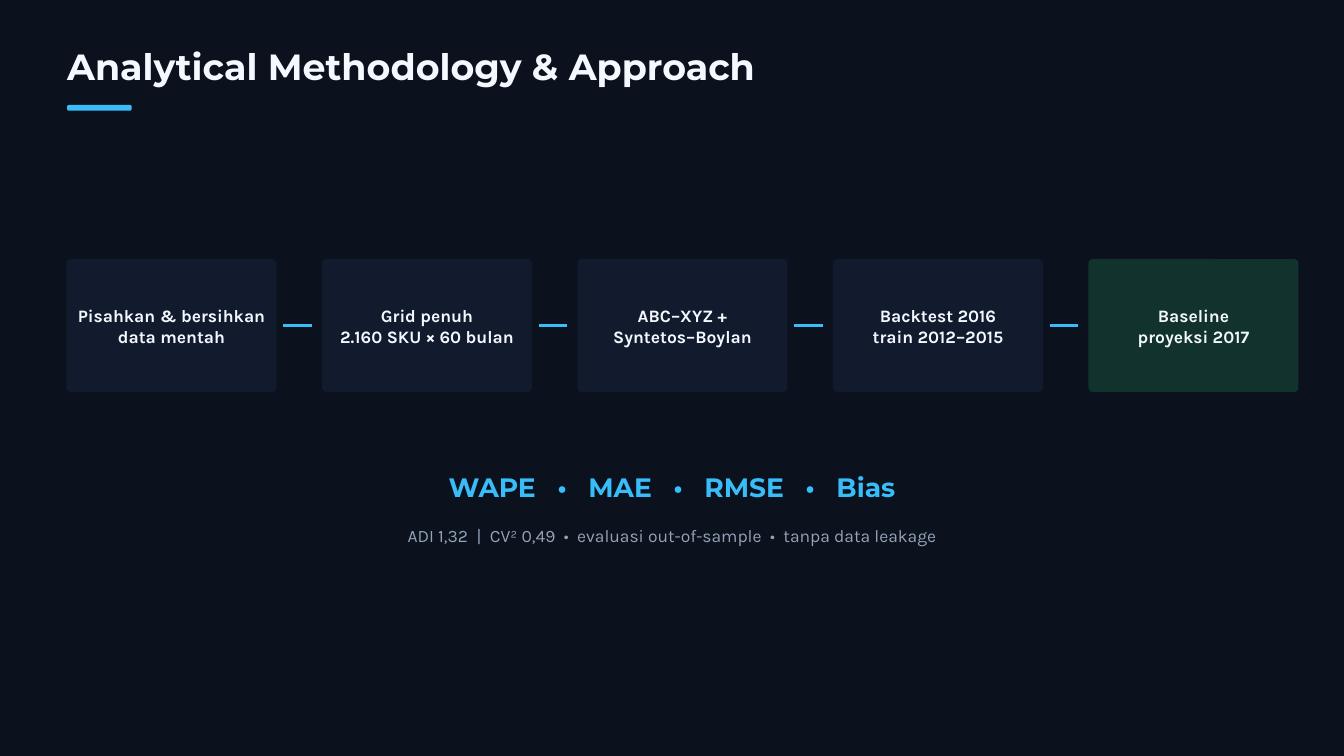
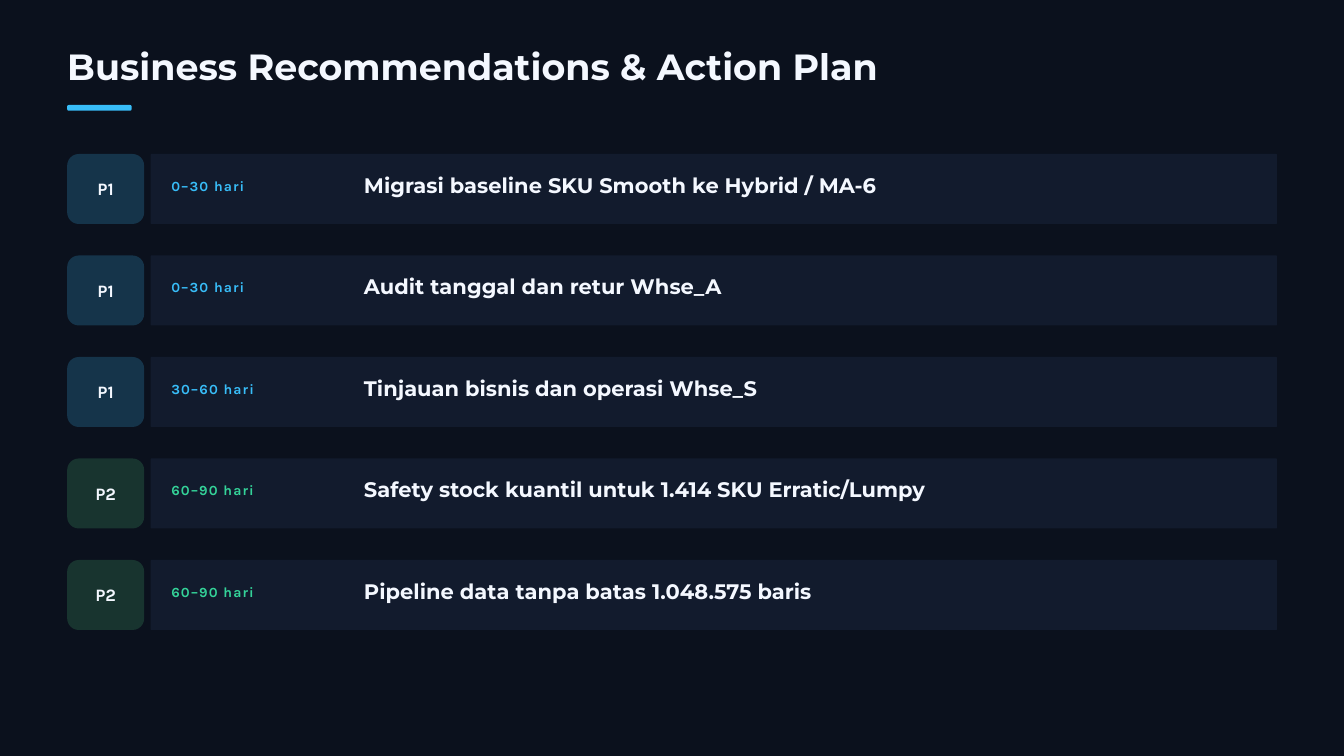
from itertools import pairwise

from lxml.etree import SubElement
from pptx import Presentation
from pptx.dml.color import RGBColor
from pptx.enum.shapes import MSO_CONNECTOR, MSO_SHAPE
from pptx.enum.text import MSO_ANCHOR, MSO_AUTO_SIZE, PP_ALIGN
from pptx.oxml.ns import qn
from pptx.util import Pt

NIGHT, PANEL, WHITE, GREY = "0B111D", "121B2D", "F4F8FF", "94A3B8"
SKY, MINT = "38BDF8", "34D399"
NAVY, MOSS, PINE = "15344A", "18342F", "12322D"
HEAD, BODY = "Montserrat", "Karla"
LEFT, WIDE, HIGH = 72, 1440, 810

STEPS = [
    ("Pisahkan & bersihkan", "data mentah"),
    ("Grid penuh", "2.160 SKU × 60 bulan"),
    ("ABC–XYZ +", "Syntetos–Boylan"),
    ("Backtest 2016", "train 2012–2015"),
    ("Baseline", "proyeksi 2017"),
]
SCORES = [("WAPE", 0), (" •", 15), (" MAE", 0), (" •", 15), (" RMSE", 0), (" •", 15), (" Bias", 0)]
NOTES = [
    ("ADI 1,32", 0), (" |", 4.6), (" CV² 0,49", 0), (" •", 4.6),
    (" evaluasi out-of-sample", 0), (" •", 4.6), (" tanpa data leakage", 0),
]
TASKS = [
    ("P1", "0–30 hari", "Migrasi baseline SKU Smooth ke Hybrid / MA-6"),
    ("P1", "0–30 hari", "Audit tanggal dan retur Whse_A"),
    ("P1", "30–60 hari", "Tinjauan bisnis dan operasi Whse_S"),
    ("P2", "60–90 hari", "Safety stock kuantil untuk 1.414 SKU Erratic/Lumpy"),
    ("P2", "60–90 hari", "Pipeline data tanpa batas 1.048.575 baris"),
]
TONES = {"P1": (NAVY, SKY), "P2": (MOSS, MINT)}


def tint(code):
    """Turn a hex string into a colour."""
    return RGBColor.from_string(code)


def write(frame, lines, font, size, tone, lead, bold=True, align=PP_ALIGN.LEFT, inset=0):
    """Fill a text frame with lines made of (text, letter gap) runs."""
    frame.word_wrap = True
    frame.margin_left = frame.margin_right = Pt(inset)
    frame.margin_top = frame.margin_bottom = Pt(inset)
    for num, line in enumerate(lines):
        para = frame.add_paragraph() if num else frame.paragraphs[0]
        para.alignment = align
        para.line_spacing = Pt(lead)
        for text, gap in line:
            run = para.add_run()
            run.text = text
            run.font.name, run.font.size, run.font.bold = font, Pt(size), bold
            run.font.color.rgb = tint(tone)
            if gap:
                run._r.get_or_add_rPr().set("spc", str(round(gap * 100)))


def label(slide, box, runs, *style, **more):
    """Add a one-line text box."""
    frame = slide.shapes.add_textbox(*map(Pt, box)).text_frame
    write(frame, [runs], *style, **more)
    frame.auto_size = MSO_AUTO_SIZE.SHAPE_TO_FIT_TEXT


def card(slide, box, fill, curve, lines=()):
    """Add a rounded block with centred lines."""
    shape = slide.shapes.add_shape(MSO_SHAPE.ROUNDED_RECTANGLE, *map(Pt, box))
    shape.adjustments[0] = curve / min(box[2:])
    shape.shadow.inherit = False
    shape.fill.solid()
    shape.fill.fore_color.rgb = tint(fill)
    shape.line.fill.background()
    if lines:
        frame = shape.text_frame
        frame.vertical_anchor = MSO_ANCHOR.MIDDLE
        write(frame, [[(line, 0)] for line in lines], BODY, 18.75, WHITE, 22.5,
              align=PP_ALIGN.CENTER, inset=4.5)
    return shape


def dash(slide, left, mid, size):
    """Draw a flat link between two steps."""
    line = slide.shapes.add_connector(
        MSO_CONNECTOR.STRAIGHT, Pt(left), Pt(mid), Pt(left + size), Pt(mid))
    line.line.color.rgb = tint(SKY)
    line.line.width = Pt(3)
    SubElement(line._element.spPr, qn("a:effectLst"))


def start(deck, title):
    """Add a dark slide with its title and accent bar."""
    slide = deck.slides.add_slide(deck.slide_layouts[6])
    slide.background.fill.solid()
    slide.background.fill.fore_color.rgb = tint(NIGHT)
    label(slide, (LEFT, 52.5, 1125, 44), [(title, 0)], HEAD, 39, WHITE, 42.1)
    card(slide, (LEFT, 112.5, 69, 6), SKY, 1.5)
    return slide


def flow(slide, box):
    """Lay the steps out in a row with links between them."""
    left, top, width, height = box
    size, last = 225, len(STEPS) - 1
    pitch = (width - size) / last
    lefts = [left + num * pitch for num in range(len(STEPS))]
    for num, (spot, lines) in enumerate(zip(lefts, STEPS)):
        fill = PINE if num == last else PANEL
        card(slide, (spot, top, size, height), fill, 4.7, lines)
    for spot, after in pairwise(lefts):
        dash(slide, spot + size + 7.5, top + height / 2, after - spot - size - 18.5)


def tests(slide, box):
    """Set the score names above their notes."""
    left, top, width, height = box
    label(slide, (left + 37.5, top, width - 75, 38), SCORES, HEAD, 28.5, SKY, 39.9,
          align=PP_ALIGN.CENTER)
    label(slide, (left, top + height - 25, width, 25), NOTES, BODY, 18.75, GREY, 25.3,
          bold=False, align=PP_ALIGN.CENTER)


def task(slide, box, rank, span, text):
    """Draw one action row with rank, time span and text."""
    left, top, width, height = box
    fill, tone = TONES[rank]
    card(slide, (left + 89.5, top, width - 89.5, height), PANEL, 0.7)
    card(slide, (left, top, 82.5, height), fill, 12.4, [rank])
    label(slide, (left + 111.5, top + 21.75, 195, 20), [(span, 1.2)], BODY, 15, tone, 21)
    label(slide, (left + 318, top + 15, 922.5, 29.5), [(text, 0)], HEAD, 22.5, WHITE, 31.5)


def plan(slide, box):
    """Stack the action rows at equal steps."""
    left, top, width, height = box
    size = 75
    pitch = (height - size) / (len(TASKS) - 1)
    for num, item in enumerate(TASKS):
        task(slide, (left, top + num * pitch, width, size), *item)


def main():
    """Build both slides and save the deck."""
    deck = Presentation()
    deck.slide_width, deck.slide_height = Pt(WIDE), Pt(HIGH)
    slide = start(deck, "Analytical Methodology & Approach")
    flow(slide, (71.25, 277.5, 1320, 142.5))
    tests(slide, (285, 499, 870, 86))
    slide = start(deck, "Business Recommendations & Action Plan")
    plan(slide, (LEFT, 165, WIDE - 2 * LEFT, 510))
    deck.save("out.pptx")


if __name__ == "__main__":
    main()
